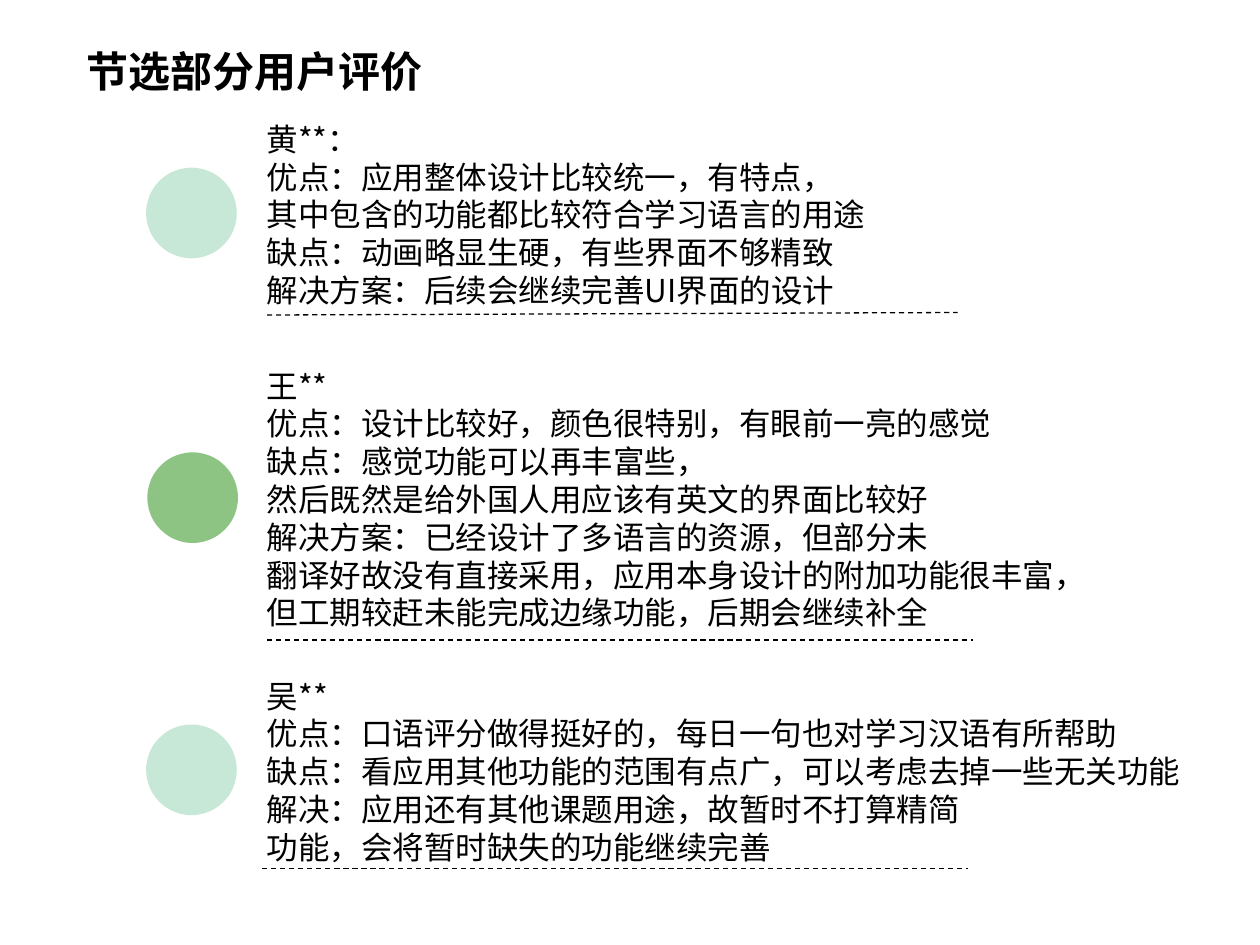
from dataclasses import dataclass

import pptx
import pptx.dml.color
import pptx.enum.dml
import pptx.enum.shapes
import pptx.enum.text
import pptx.oxml
import pptx.oxml.ns
import pptx.util

Pt = pptx.util.Pt
RGB = pptx.dml.color.RGBColor


@dataclass(frozen=True)
class Theme:
    font: str = "Noto Sans CJK SC"
    ink: RGB = RGB(0, 0, 0)
    mint: RGB = RGB(0xC7, 0xE8, 0xD6)
    green: RGB = RGB(0x8D, 0xC4, 0x83)
    title_size: float = 24
    body_size: float = 18
    line_pitch: float = 1.2
    rule_width: float = 0.75


@dataclass(frozen=True)
class Review:
    top: float
    width: float
    lines: tuple[str, ...]
    dot: tuple[float, float]
    dot_fill: RGB
    rule: tuple[float, float, float, float]


THEME = Theme()
TEXT_LEFT = 145.4
DOT_SIZE = 51.8
FRAME_FORMAT = {
    "margin_left": Pt(7.2),
    "margin_right": Pt(7.2),
    "margin_top": Pt(5),
    "margin_bottom": Pt(3.6),
    "vertical_anchor": pptx.enum.text.MSO_ANCHOR.TOP,
    "auto_size": pptx.enum.text.MSO_AUTO_SIZE.SHAPE_TO_FIT_TEXT,
}

REVIEWS = (
    Review(63.4, 360, (
        "黄**：",
        "优点：应用整体设计比较统一，有特点，",
        "其中包含的功能都比较符合学习语言的用途",
        "缺点：动画略显生硬，有些界面不够精致",
        "解决方案：后续会继续完善UI界面的设计",
    ), (83.5, 95.8), THEME.mint, (152.6, 180, 547.2, 178.6)),
    Review(204.5, 487.4, (
        "王**",
        "优点：设计比较好，颜色很特别，有眼前一亮的感觉",
        "缺点：感觉功能可以再丰富些，",
        "然后既然是给外国人用应该有英文的界面比较好",
        "解决方案：已经设计了多语言的资源，但部分未",
        "翻译好故没有直接采用，应用本身设计的附加功能很丰富，",
        "但工期较赶未能完成边缘功能，后期会继续补全",
    ), (84.2, 258.5), THEME.green, (152.6, 365.8, 555.8, 365.8)),
    Review(381.6, 541.4, (
        "吴**",
        "优点：口语评分做得挺好的，每日一句也对学习汉语有所帮助",
        "缺点：看应用其他功能的范围有点广，可以考虑去掉一些无关功能",
        "解决：应用还有其他课题用途，故暂时不打算精简",
        "功能，会将暂时缺失的功能继续完善",
    ), (83.5, 414), THEME.mint, (149.8, 496.1, 553, 496.1)),
)


def fill_text(frame, lines: tuple[str, ...], size: float, bold: bool, wrap: bool) -> None:
    """Write one paragraph per line in the theme font."""
    for name, value in {**FRAME_FORMAT, "word_wrap": wrap}.items():
        setattr(frame, name, value)
    para_format = {
        "alignment": pptx.enum.text.PP_ALIGN.LEFT,
        "line_spacing": Pt(size * THEME.line_pitch),
        "space_before": Pt(0),
    }
    font_format = {"name": THEME.font, "size": Pt(size), "bold": bold}
    for index, line in enumerate(lines):
        para = frame.add_paragraph() if index else frame.paragraphs[0]
        for name, value in para_format.items():
            setattr(para, name, value)
        span = para.add_run()
        span.text = line
        for name, value in font_format.items():
            setattr(span.font, name, value)
        span.font.color.rgb = THEME.ink
        # East Asian typeface
        east_asian = pptx.oxml.parse_xml(
            f'<a:ea {pptx.oxml.ns.nsdecls("a")} typeface="{THEME.font}"/>')
        span._r.get_or_add_rPr().append(east_asian)


def draw_title(page, text: str) -> None:
    title = page.shapes.title
    place = {"left": 42.5, "top": 20.9, "width": 232.6, "height": 36}
    for name, value in place.items():
        setattr(title, name, Pt(value))
    fill_text(title.text_frame, (text,), THEME.title_size, True, True)


def draw_dot(page, review: Review) -> None:
    left, top = review.dot
    dot = page.shapes.add_shape(
        pptx.enum.shapes.MSO_SHAPE.OVAL, Pt(left), Pt(top), Pt(DOT_SIZE), Pt(DOT_SIZE))
    dot.shadow.inherit = False
    dot.fill.solid()
    dot.fill.fore_color.rgb = review.dot_fill
    dot.line.fill.background()


def draw_rule(page, review: Review) -> None:
    rule = page.shapes.add_connector(
        pptx.enum.shapes.MSO_CONNECTOR.STRAIGHT, *map(Pt, review.rule))
    rule.line.color.rgb = THEME.ink
    rule.line.width = Pt(THEME.rule_width)
    rule.line.dash_style = pptx.enum.dml.MSO_LINE.DASH
    rule._element.spPr.append(
        pptx.oxml.parse_xml(f'<a:effectLst {pptx.oxml.ns.nsdecls("a")}/>'))


def draw_comment(page, review: Review) -> None:
    height = len(review.lines) * THEME.body_size * THEME.line_pitch + 8.6
    box = page.shapes.add_textbox(
        Pt(TEXT_LEFT), Pt(review.top), Pt(review.width), Pt(height))
    fill_text(box.text_frame, review.lines, THEME.body_size, False, False)


def main() -> None:
    deck = pptx.Presentation()
    deck.slide_width, deck.slide_height = Pt(720), Pt(540)
    page = deck.slides.add_slide(deck.slide_layouts.get_by_name("Title Only"))

    # Heading
    draw_title(page, "节选部分用户评价")

    # One dot, dashed rule and comment for each user
    for review in REVIEWS:
        draw_dot(page, review)
        draw_rule(page, review)
        draw_comment(page, review)

    deck.save("out.pptx")


if __name__ == "__main__":
    main()
